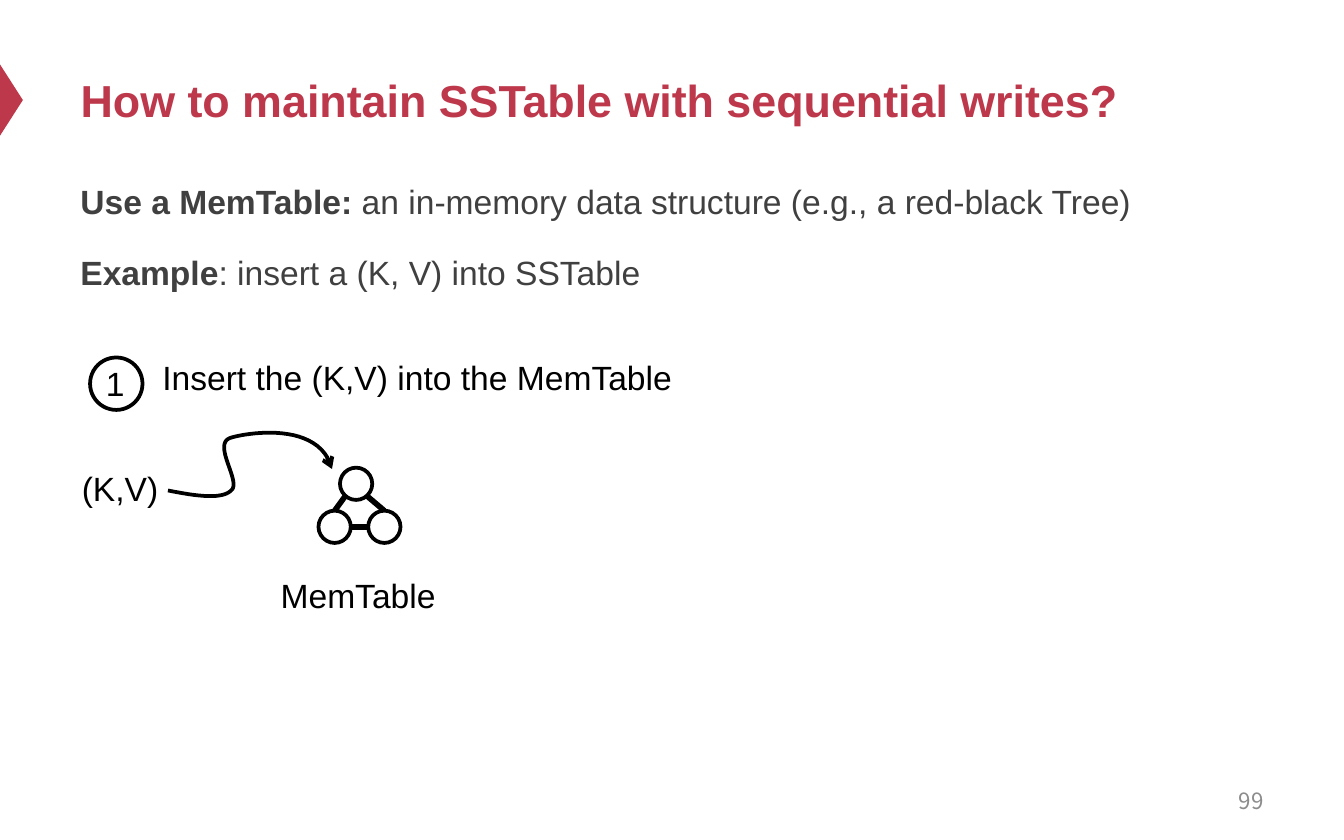
"""Build the slide on keeping an SSTable with sequential writes."""
from typing import NamedTuple

from lxml import etree
from pptx import Presentation, util as u
from pptx.dml import color
from pptx.enum import shapes, text
from pptx.oxml import ns

COLORS = {"accent": "BE384B", "body": "404040", "ink": "000000",
          "page": "8C8C8C", "paper": "FFFFFF"}
NODE = 0.24


class Label(NamedTuple):
    words: str
    x: float
    y: float
    w: float


class Point(NamedTuple):
    x: float
    y: float


LABELS = [
    Label("1", 0.69, 2.65, 0.34),
    Label("Insert the (K,V) into the MemTable", 1.11, 2.61, 4.1),
    Label("MemTable", 1.99, 4.23, 1.37),
    Label("(K,V)", 0.51, 3.43, 0.78),
]
NODES = [Point(2.53, 3.48), Point(2.37, 3.8), Point(2.74, 3.8)]
EDGES = [
    (Point(2.49, 3.8), Point(2.57, 3.69)),
    (Point(2.61, 3.92), Point(2.74, 3.92)),
    (Point(2.73, 3.69), Point(2.86, 3.8)),
]
CURVE = [Point(1.25, 3.65),
         Point(1.45, 3.69), Point(1.65, 3.72), Point(1.72, 3.65),
         Point(1.8, 3.59), Point(1.58, 3.31), Point(1.71, 3.26),
         Point(1.83, 3.22), Point(2.38, 3.13), Point(2.47, 3.49)]


def rgb(name: str) -> color.RGBColor:
    return color.RGBColor.from_string(COLORS[name])


def add_run(p, words: str, *, size=18, fill="ink", bold=False, font="Arial"):
    r = p.add_run()
    r.text = words
    r.font.size, r.font.bold, r.font.name = u.Pt(size), bold, font
    r.font.color.rgb = rgb(fill)


def add_text(s, words: str, x, y, w, h=0.4, *, wrap=False,
             align=text.PP_ALIGN.LEFT, anchor=text.MSO_ANCHOR.TOP, **style):
    tf = s.shapes.add_textbox(*map(u.Inches, (x, y, w, h))).text_frame
    tf.word_wrap = wrap
    tf.auto_size = (text.MSO_AUTO_SIZE.NONE if wrap
                    else text.MSO_AUTO_SIZE.SHAPE_TO_FIT_TEXT)
    tf.vertical_anchor = anchor
    p = tf.paragraphs[0]
    p.alignment = align
    add_run(p, words, **style)


def add_circle(s, at: Point, size: float) -> None:
    sp = s.shapes.add_shape(shapes.MSO_SHAPE.OVAL,
                            *map(u.Inches, (at.x, at.y, size, size)))
    sp.shadow.inherit = False
    sp.fill.background()
    sp.line.color.rgb, sp.line.width = rgb("ink"), u.Pt(2)


def add_edge(s, start: Point, end: Point) -> None:
    c = s.shapes.add_connector(shapes.MSO_CONNECTOR.STRAIGHT,
                               *map(u.Inches, (*start, *end)))
    c.line.color.rgb, c.line.width = rgb("ink"), u.Pt(3)
    etree.SubElement(c._element.spPr, ns.qn("a:effectLst"))


def bezier(a: Point, b: Point, c: Point, d: Point, t: float) -> Point:
    return Point(*((1 - t) ** 3 * i + 3 * (1 - t) ** 2 * t * j
                   + 3 * (1 - t) * t ** 2 * k + t ** 3 * m
                   for i, j, k, m in zip(a, b, c, d)))


def add_curved_arrow(s, points: list[Point], steps: int = 24) -> None:
    route = [bezier(*points[i:i + 4], n / steps)
             for i in range(0, len(points) - 1, 3)
             for n in range(1, steps + 1)]
    fb = s.shapes.build_freeform(*map(u.Inches, points[0]))
    fb.add_line_segments([tuple(map(u.Inches, pt)) for pt in route],
                         close=False)
    sp = fb.convert_to_shape()
    sp.shadow.inherit = False
    sp.fill.background()
    sp.line.color.rgb, sp.line.width = rgb("ink"), u.Pt(2)
    ln = sp._element.spPr.find(ns.qn("a:ln"))
    etree.SubElement(ln, ns.qn("a:round"))
    etree.SubElement(ln, ns.qn("a:tailEnd"), type="arrow")


def add_title(s, words: str) -> None:
    sp = s.shapes.title
    sp.left, sp.top, sp.width, sp.height = map(u.Inches, (0.5, 0.25, 9, 0.98))
    tf = sp.text_frame
    tf.word_wrap, tf.auto_size = True, text.MSO_AUTO_SIZE.NONE
    tf.vertical_anchor = text.MSO_ANCHOR.MIDDLE
    p = tf.paragraphs[0]
    p.alignment = text.PP_ALIGN.LEFT
    add_run(p, words, size=24, fill="accent", bold=True)


def add_body(s, lines: list[tuple[str, str]]) -> None:
    tf = s.shapes.add_textbox(*map(u.Inches, (0.5, 1.24, 9, 1.18))).text_frame
    tf.word_wrap = True
    for i, (lead, rest) in enumerate(lines):
        p = tf.add_paragraph() if i else tf.paragraphs[0]
        p.line_spacing = 1.2
        if i:
            p.space_before = u.Pt(12)
        add_run(p, lead, fill="body", bold=True)
        add_run(p, rest, fill="body")


def add_marker(s) -> None:
    sp = s.shapes.add_shape(shapes.MSO_SHAPE.ISOSCELES_TRIANGLE,
                            *map(u.Inches, (-0.18, 0.66, 0.53, 0.17)))
    sp.rotation = 90
    sp.shadow.inherit = False
    sp.fill.solid()
    sp.fill.fore_color.rgb = rgb("accent")
    sp.line.fill.background()


def main() -> None:
    prs = Presentation()
    prs.slide_width, prs.slide_height = u.Inches(10), u.Inches(6.25)
    s = prs.slides.add_slide(prs.slide_layouts[5])
    s.background.fill.solid()
    s.background.fill.fore_color.rgb = rgb("paper")
    add_marker(s)
    add_title(s, "How to maintain SSTable with sequential writes?")
    add_body(s, [
        ("Use a MemTable: ",
         "an in-memory data structure (e.g., a red-black Tree)"),
        ("Example", ": insert a (K, V) into SSTable"),
    ])
    add_text(s, "99", 7.17, 5.79, 2.33, 0.33, wrap=True, size=12, fill="page",
             font="Noto Sans CJK SC", align=text.PP_ALIGN.RIGHT,
             anchor=text.MSO_ANCHOR.MIDDLE)
    add_circle(s, Point(0.67, 2.66), 0.39)
    for node in NODES:
        add_circle(s, node, NODE)
    for start, end in EDGES:
        add_edge(s, start, end)
    for label in LABELS:
        add_text(s, *label)
    add_curved_arrow(s, CURVE)
    prs.save("out.pptx")


if __name__ == "__main__":
    main()
